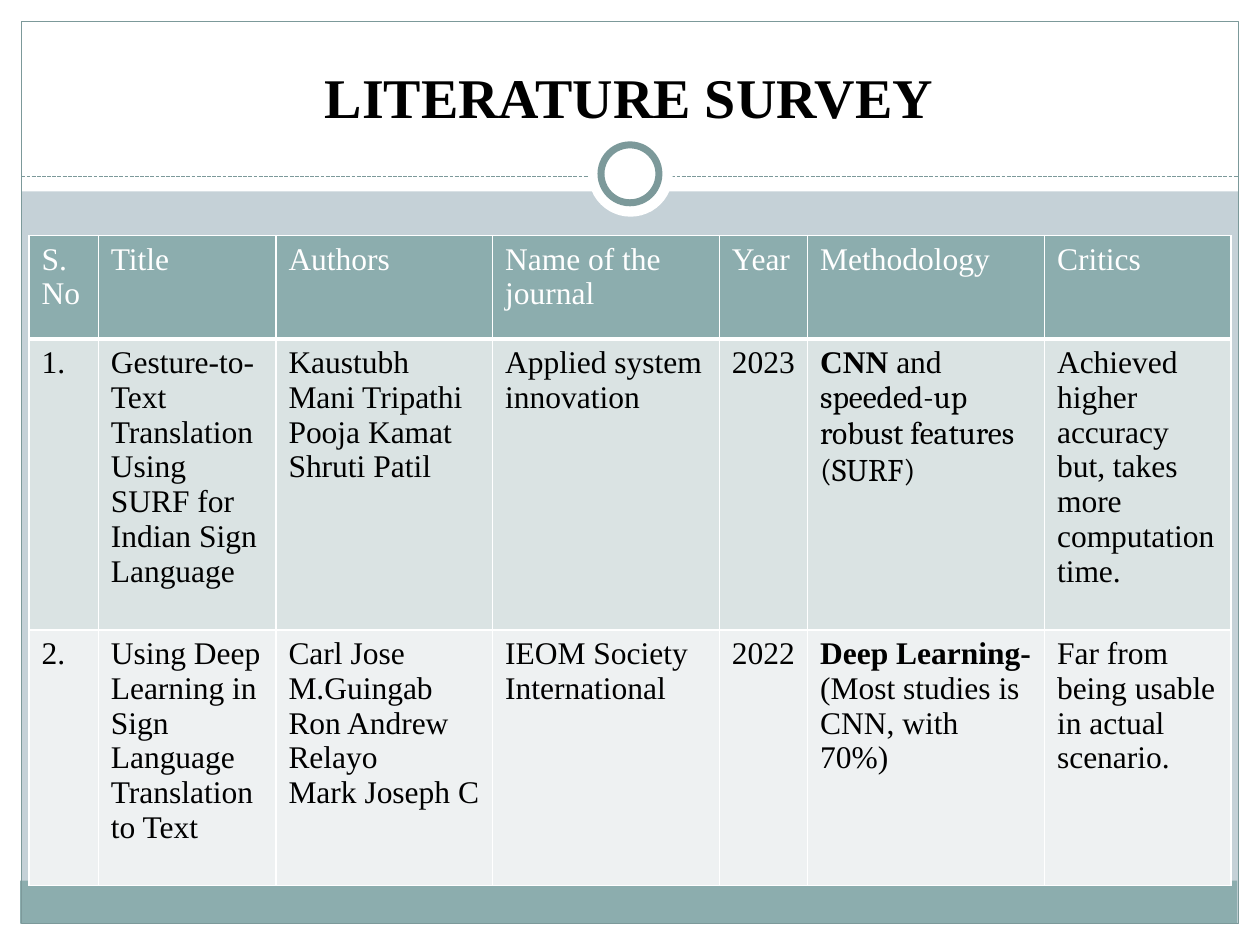
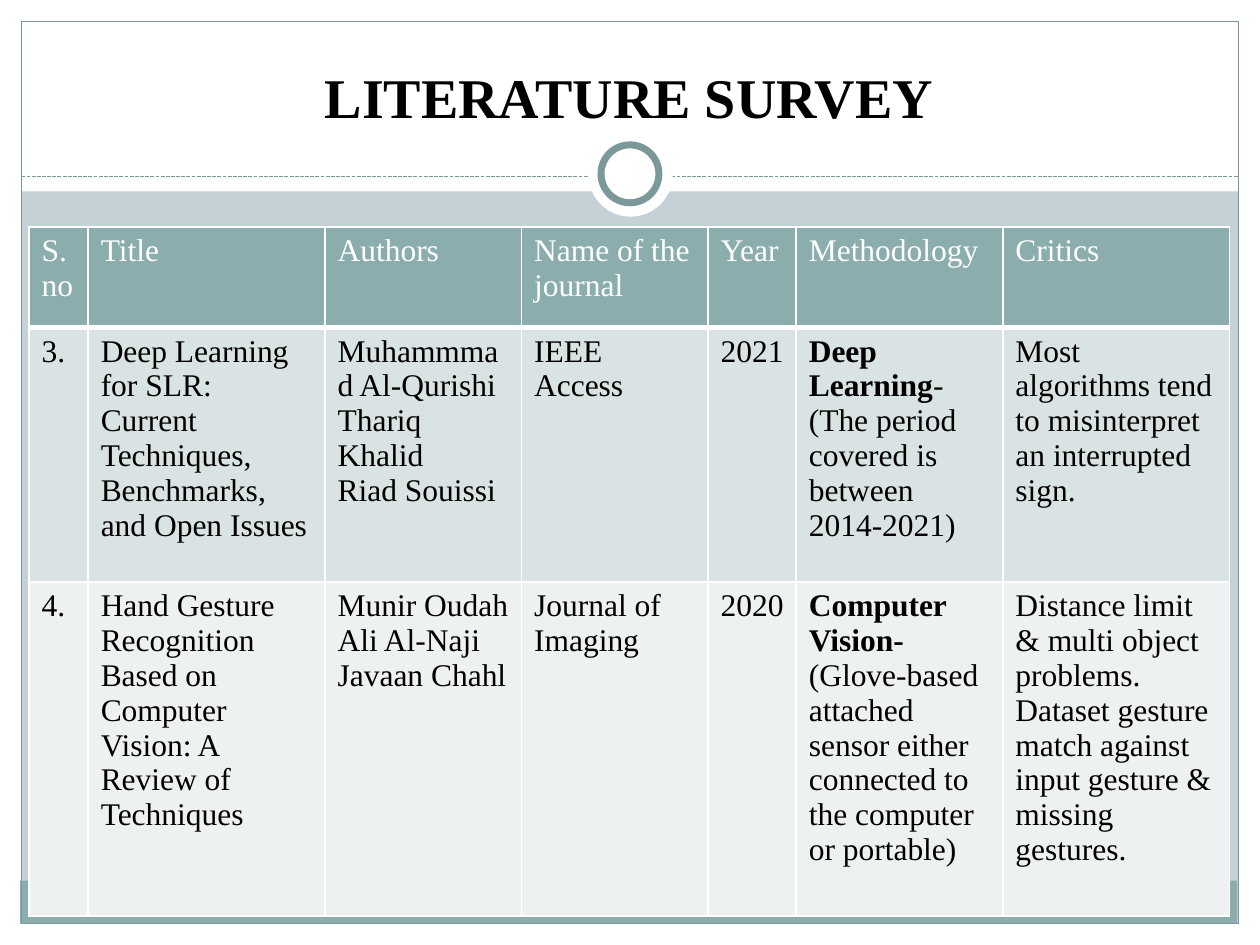
import pptx
import pptx.util
import pptx.dml.color
import pptx.enum.dml
import pptx.enum.shapes
import pptx.enum.text
import pptx.oxml
import pptx.oxml.ns

Inches = pptx.util.Inches
Pt = pptx.util.Pt
Kind = pptx.enum.shapes.MSO_SHAPE

WIDE, HIGH, EDGE = 10, 7.5, 0.17
SERIF = "Times New Roman"
WHITE, BLACK, SAGE, RIM, MIST = "FFFFFF", "000000", "8CADAE", "7C999A", "C5D1D7"
FILLS = [SAGE, "DAE3E3", "EEF1F2"]
HEAD = ["Title", "Authors", "Name of the journal", "Year", "Methodology", "Critics"]
TITLE = "LITERATURE SURVEY"

# Each cell is a string, or a list of paragraphs made of (text, format) runs.
BOLD = {"bold": True}
SLIDES = [
    {
        "top": 1.87,
        "cols": [0.55, 1.41, 1.72, 1.8, 0.7, 1.88, 1.48],
        "rows": [0.82, 2.31, 2.03],
        "cells": [
            ["S.\nNo"] + HEAD,
            ["1.", "Gesture-to-Text Translation Using SURF for Indian Sign Language",
             "Kaustubh\nMani Tripathi\nPooja Kamat\nShruti Patil",
             "Applied system innovation", "2023",
             [[("CNN ", BOLD), ("and ", {}),
               ("speeded-up robust features (SURF)", {"name": "Cambria"})]],
             "Achieved higher accuracy but, takes more computation time."],
            ["2.", "Using Deep Learning in Sign Language Translation to Text",
             "Carl Jose M.Guingab\nRon Andrew Relayo\nMark Joseph C",
             "IEOM Society International", "2022",
             [[("Deep Learning-", BOLD), ("(Most studies is CNN, with 70%)", {})]],
             "Far from being usable in actual scenario."],
        ],
    },
    {
        "top": 1.8,
        "cols": [0.47, 1.88, 1.56, 1.48, 0.7, 1.64, 1.8],
        "rows": [0.8, 2.02, 2.65],
        "cells": [
            ["S.\nno"] + HEAD,
            ["3.", "Deep Learning for SLR: Current Techniques, Benchmarks, and Open Issues",
             "Muhammmad Al-Qurishi\nThariq Khalid\nRiad Souissi",
             "IEEE Access", "2021",
             [[("Deep Learning", BOLD),
               ("-(The period covered is between 2014-2021)", {})]],
             "Most algorithms tend to misinterpret an interrupted sign."],
            ["4.", "Hand Gesture Recognition Based on Computer Vision: A Review of Techniques",
             "Munir Oudah\nAli Al-Naji\nJavaan Chahl",
             "Journal of Imaging", "2020",
             [[("Computer Vision-", BOLD)],
              [("(Glove-based attached sensor either connected to the computer or portable)", {})]],
             "Distance limit & multi object problems.\n"
             "Dataset gesture match against input gesture & missing gestures."],
        ],
    },
]

INNER = WIDE - 2 * EDGE
FRAME = [
    (Kind.RECTANGLE, (0, HIGH - EDGE, WIDE, EDGE), WHITE, None),
    (Kind.RECTANGLE, (0, 0, WIDE, 1.52), WHITE, None),
    (Kind.RECTANGLE, (0, 0, EDGE, HIGH), WHITE, None),
    (Kind.RECTANGLE, (WIDE - EDGE, 0, EDGE, HIGH), WHITE, None),
    (Kind.RECTANGLE, (0.16, 6.99, INNER, 0.34), SAGE, None),
    (Kind.RECTANGLE, (EDGE, EDGE, INNER, HIGH - 2 * EDGE), None, 0.75),
]
RING = [
    (Kind.OVAL, (4.67, 1.05, 0.67, 0.67), WHITE, None),
    (Kind.OVAL, (4.77, 1.15, 0.46, 0.46), WHITE, 4),
]


def paint(fill, tint):
    fill.solid()
    fill.fore_color.rgb = pptx.dml.color.RGBColor.from_string(tint)


def style(font, look):
    for key, value in look.items():
        if key == "color":
            paint(font.fill, value)
        else:
            setattr(font, key, value)


def draw(slide, parts):
    for kind, box, tint, line in parts:
        shape = slide.shapes.add_shape(kind, *map(Inches, box))
        shape.shadow.inherit = False
        if tint:
            paint(shape.fill, tint)
        else:
            shape.fill.background()
        if line:
            paint(shape.line.fill, RIM)
            shape.line.width = Pt(line)
        else:
            shape.line.fill.background()


def rule(slide):
    line = slide.shapes.add_connector(
        pptx.enum.shapes.MSO_CONNECTOR.STRAIGHT,
        *map(Inches, (EDGE, 1.4, WIDE - EDGE, 1.4)))
    paint(line.line.fill, RIM)
    line.line.width = Pt(0.75)
    line.line.dash_style = pptx.enum.dml.MSO_LINE.SQUARE_DOT
    props = line._element.spPr
    props.append(props.makeelement(pptx.oxml.ns.qn("a:effectLst"), {}))


def write(frame, text, look):
    if isinstance(text, str):
        text = [[(part, {})] for part in text.split("\n")]
    for i, runs in enumerate(text):
        para = frame.add_paragraph() if i else frame.paragraphs[0]
        for words, extra in runs:
            run = para.add_run()
            run.text = words
            style(run.font, {**look, **extra})


def title(slide):
    box = slide.shapes.add_textbox(*map(Inches, (0.33, 0.25, 9.33, 0.83)))
    frame = box.text_frame
    frame.word_wrap = True
    frame.vertical_anchor = pptx.enum.text.MSO_ANCHOR.BOTTOM
    write(frame, TITLE, {"name": SERIF, "size": Pt(32), "bold": True, "color": BLACK})
    frame.paragraphs[0].alignment = pptx.enum.text.PP_ALIGN.CENTER


def border(cell, base):
    props = cell._tc.get_or_add_tcPr()
    for side, width in zip("LRTB", (1, 1, 1, base)):
        props.append(pptx.oxml.parse_xml(
            f'<a:ln{side} {pptx.oxml.ns.nsdecls("a")} w="{Pt(width)}">'
            f'<a:solidFill><a:srgbClr val="{WHITE}"/></a:solidFill></a:ln{side}>'))


def grid(slide, data):
    cols, rows = data["cols"], data["rows"]
    size = (0.23, data["top"], sum(cols), sum(rows))
    table = slide.shapes.add_table(len(rows), len(cols), *map(Inches, size)).table
    for col, width in zip(table.columns, cols):
        col.width = Inches(width)
    for r, (row, line) in enumerate(zip(table.rows, data["cells"])):
        row.height = Inches(rows[r])
        look = {"name": SERIF, "size": Pt(18), "bold": False,
                "color": BLACK if r else WHITE}
        for cell, text in zip(row.cells, line):
            border(cell, 1 if r else 3)
            paint(cell.fill, FILLS[r])
            write(cell.text_frame, text, look)


def main():
    deck = pptx.Presentation()
    deck.slide_width, deck.slide_height = Inches(WIDE), Inches(HIGH)
    for data in SLIDES:
        slide = deck.slides.add_slide(deck.slide_layouts[6])
        paint(slide.background.fill, MIST)
        draw(slide, FRAME)
        rule(slide)
        draw(slide, RING)
        title(slide)
        grid(slide, data)
    deck.save("out.pptx")


if __name__ == "__main__":
    main()
